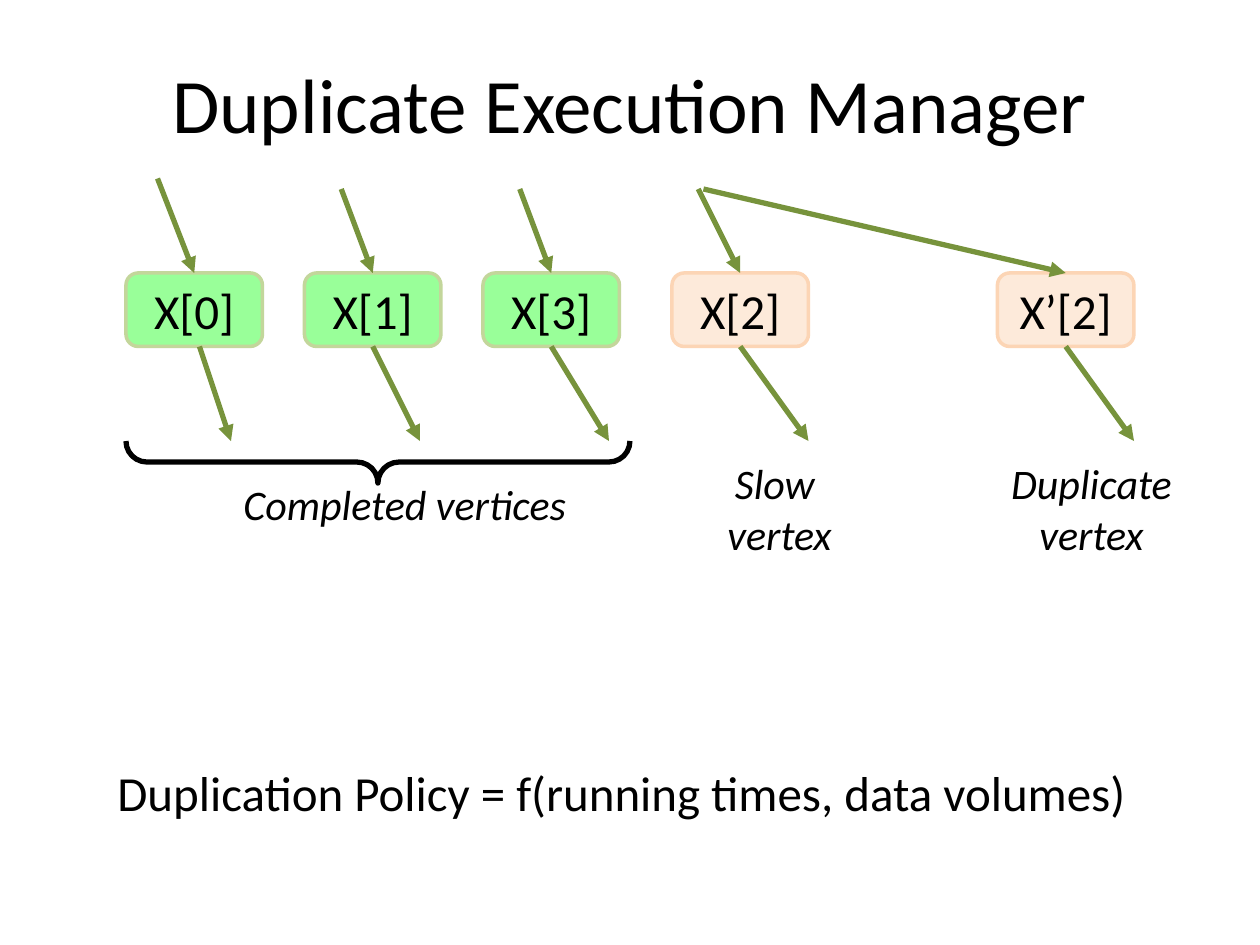
"""Build the Duplicate Execution Manager slide."""
from lxml.etree import SubElement
from pptx import Presentation
from pptx.dml.color import RGBColor
from pptx.enum.shapes import MSO_CONNECTOR, MSO_SHAPE
from pptx.enum.text import MSO_ANCHOR, MSO_AUTO_SIZE, PP_ALIGN
from pptx.oxml.ns import qn
from pptx.util import Pt

SCALE = 7620
BLACK = RGBColor(0x00, 0x00, 0x00)
GREEN = RGBColor(0x99, 0xFF, 0x99)
SAGE = RGBColor(0xC3, 0xD6, 0x9B)
OLIVE = RGBColor(0x77, 0x93, 0x3C)
CREAM = RGBColor(0xFD, 0xEA, 0xDA)
PEACH = RGBColor(0xFC, 0xD5, 0xB5)

TOP, WIDE, HIGH = 260, 130, 70
FLOOR = 420
DONE, LATE = (GREEN, SAGE), (CREAM, PEACH)
NODES = [
    ("X[0]", 120, DONE, (150, 170), 190, 220),
    ("X[1]", 290, DONE, (325, 180), None, 400),
    ("X[3]", 460, DONE, (495, 180), None, 580),
    ("X[2]", 640, LATE, (665, 180), None, 770),
    ("X’[2]", 950, LATE, (670, 180), None, 1080),
]
LABELS = [
    ("Completed vertices", (220, 450, 335, 60), 24, True, PP_ALIGN.LEFT),
    ("Slow \vvertex", (680, 430, 125, 109), 24, True, PP_ALIGN.CENTER),
    ("Duplicate\vvertex", (950, 430, 179, 109), 24, True, PP_ALIGN.CENTER),
    ("Duplication Policy = f(running times, data volumes)",
     (100, 720, 996, 68), 28, False, PP_ALIGN.LEFT),
]


def px(*nums):
    """Turn px lengths into EMU."""
    return [num * SCALE for num in nums]


def write(frame, text, size, align, slant=False):
    """Fill a text frame with one formatted paragraph."""
    para = frame.paragraphs[0]
    para.text = text
    para.alignment = align
    for run in para.runs:
        run.font.name = "Calibri"
        run.font.size = Pt(size)
        run.font.italic = slant
        run.font.color.rgb = BLACK


def add_title(slide, text):
    """Place and format the title placeholder."""
    title = slide.shapes.title
    title.left, title.top, title.width, title.height = px(60, 36, 1080, 124)
    title.text_frame.vertical_anchor = MSO_ANCHOR.MIDDLE
    write(title.text_frame, text, 44, PP_ALIGN.CENTER)


def add_node(slide, text, left, hues):
    """Add one rounded vertex box."""
    node = slide.shapes.add_shape(
        MSO_SHAPE.ROUNDED_RECTANGLE, *px(left, TOP, WIDE, HIGH))
    node.shadow.inherit = False
    node.fill.solid()
    node.fill.fore_color.rgb, node.line.color.rgb = hues
    node.line.width = Pt(2)
    node.text_frame.vertical_anchor = MSO_ANCHOR.MIDDLE
    node.text_frame.word_wrap = False
    write(node.text_frame, text, 28, PP_ALIGN.CENTER)
    return node


def add_arrow(slide, start, end):
    """Add an olive arrow between two points."""
    arrow = slide.shapes.add_connector(
        MSO_CONNECTOR.STRAIGHT, *px(*start, *end))
    arrow.line.color.rgb = OLIVE
    arrow.line.width = Pt(3)
    SubElement(arrow.line._get_or_add_ln(), qn("a:tailEnd"), type="triangle")
    SubElement(arrow._element.spPr, qn("a:effectLst"))
    return arrow


def add_vertex(slide, text, left, hues, start, leave, end):
    """Add a box with its arrows in and out."""
    node = add_node(slide, text, left, hues)
    mid = left + WIDE // 2
    add_arrow(slide, start, (mid, TOP)).end_connect(node, 0)
    out = add_arrow(slide, (leave or mid, TOP + HIGH), (end, FLOOR))
    if leave is None:
        out.begin_connect(node, 2)


def add_brace(slide):
    """Add the brace below the completed vertices."""
    brace = slide.shapes.add_shape(
        MSO_SHAPE.LEFT_BRACE, *px(340, 200, 40, 480))
    brace.rotation = 270
    brace.adjustments[0] = 0.5
    brace.shadow.inherit = False
    brace.fill.background()
    brace.line.color.rgb = BLACK
    brace.line.width = Pt(3)


def add_label(slide, text, box, size, slant, align):
    """Add a text box that fits its text."""
    frame = slide.shapes.add_textbox(*px(*box)).text_frame
    frame.word_wrap = False
    frame.auto_size = MSO_AUTO_SIZE.SHAPE_TO_FIT_TEXT
    write(frame, text, size, align, slant)


def main():
    """Build and save the slide."""
    deck = Presentation()
    deck.slide_width, deck.slide_height = px(1200, 900)
    slide = deck.slides.add_slide(deck.slide_layouts[5])
    add_title(slide, "Duplicate Execution Manager")
    for node in NODES:
        add_vertex(slide, *node)
    add_brace(slide)
    for label in LABELS:
        add_label(slide, *label)
    deck.save("out.pptx")


if __name__ == "__main__":
    main()
